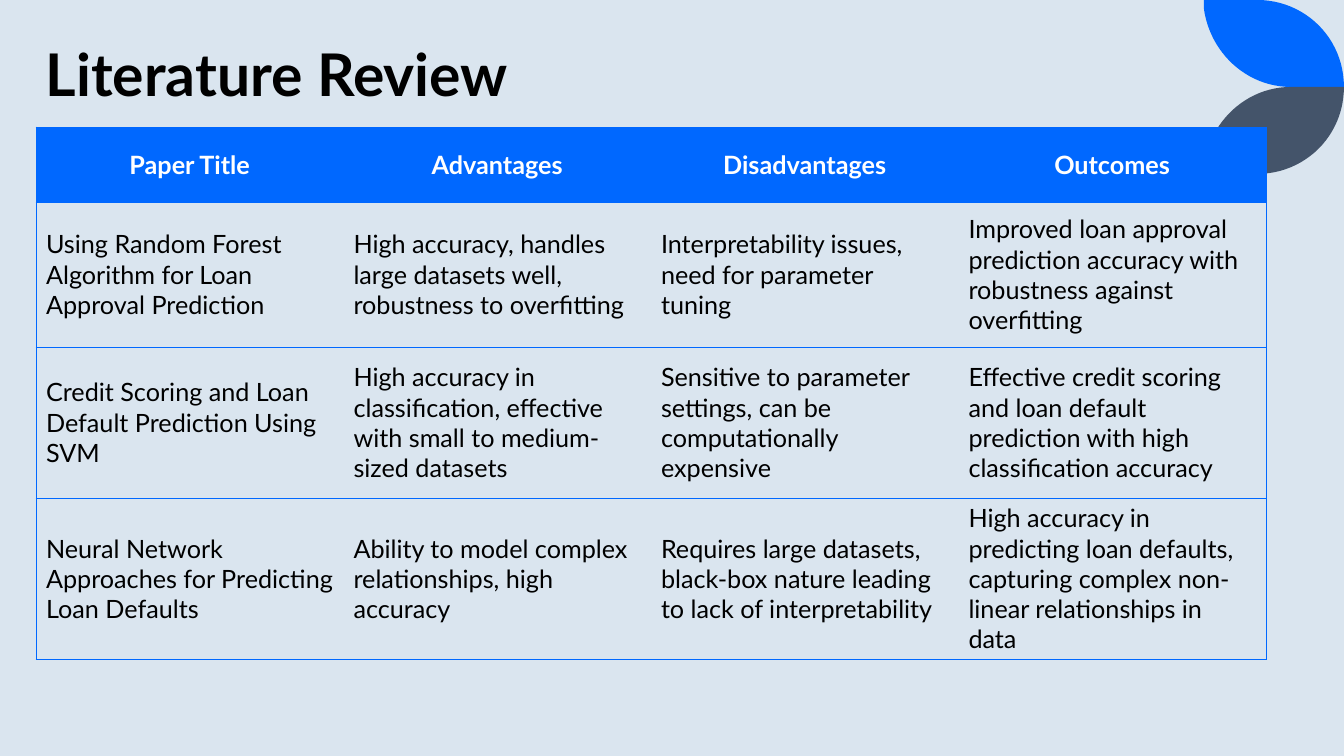
from lxml import etree
from pptx import Presentation
from pptx.dml.color import RGBColor
from pptx.enum.text import MSO_ANCHOR, PP_ALIGN
from pptx.oxml.ns import qn
from pptx.util import Pt

SCALE = 914400 / 100.8  # EMU per px
BLUE = RGBColor(0x00, 0x68, 0xFF)
SLATE = RGBColor(0x44, 0x54, 0x6A)
PALE = RGBColor(0xDA, 0xE5, 0xEF)
BLACK = RGBColor(0, 0, 0)
WHITE = RGBColor(0xFF, 0xFF, 0xFF)

CURVE_STEPS = 24
LEAF_HEIGHT = 87
ROW_HEIGHTS = [75, 145, 151, 161]
ROWS = [
    ["Paper Title", "Advantages", "Disadvantages", "Outcomes"],
    ["Using Random Forest Algorithm for Loan Approval Prediction",
     "High accuracy, handles large datasets well, robustness to overfitting",
     "Interpretability issues, need for parameter tuning",
     "Improved loan approval prediction accuracy with robustness against overfitting"],
    ["Credit Scoring and Loan Default Prediction Using SVM",
     "High accuracy in classification, effective with small to medium-sized datasets",
     "Sensitive to parameter settings, can be computationally expensive",
     "Effective credit scoring and loan default prediction with high classification accuracy"],
    ["Neural Network Approaches for Predicting Loan Defaults",
     "Ability to model complex relationships, high accuracy",
     "Requires large datasets, black-box nature leading to lack of interpretability",
     "High accuracy in predicting loan defaults, capturing complex non-linear relationships in data"],
]


def px(length):
    return round(length * SCALE)


def write_text(frame, text, size=18, color=BLACK, bold=False,
               align=PP_ALIGN.LEFT, spacing=1.0):
    frame.word_wrap = True
    paragraph = frame.paragraphs[0]
    paragraph.alignment = align
    paragraph.line_spacing = spacing
    run = paragraph.add_run()
    run.text = text
    run.font.name = "Lato"
    run.font.size = Pt(size)
    run.font.bold = bold
    run.font.color.rgb = color


presentation = Presentation()
presentation.slide_width = px(1344)
presentation.slide_height = px(756)
slide = presentation.slides.add_slide(presentation.slide_layouts[6])
slide.background.fill.solid()
slide.background.fill.fore_color.rgb = PALE

# Leaf outline: two Bezier arcs joined by straight edges
arcs = [
    [(1257, 0), (1305, 0), (1344, 38), (1344, 87)],
    [(1291, 87), (1246, 87), (1210, 52), (1204, 9)],
]
leaf = [(1204, 0)]
for arc in arcs:
    for step in range(CURVE_STEPS + 1):
        t = step / CURVE_STEPS
        weights = [(1 - t) ** 3, 3 * t * (1 - t) ** 2, 3 * t * t * (1 - t), t ** 3]
        leaf.append(tuple(sum(weight * point[axis] for weight, point in zip(weights, arc))
                          for axis in (0, 1)))

# The lower leaf mirrors the upper one
mirrored_leaf = [(x, 2 * LEAF_HEIGHT - y) for x, y in leaf]
for outline, color in [(leaf, BLUE), (mirrored_leaf, SLATE)]:
    points = [(px(x), px(y)) for x, y in outline]
    builder = slide.shapes.build_freeform(*points[0])
    builder.add_line_segments(points[1:], close=True)
    shape = builder.convert_to_shape()
    shape.shadow.inherit = False
    shape.fill.solid()
    shape.fill.fore_color.rgb = color
    shape.line.fill.background()

title = slide.shapes.add_textbox(px(36), px(-38), px(1068), px(151))
title.text_frame.vertical_anchor = MSO_ANCHOR.BOTTOM
write_text(title.text_frame, "Literature Review", size=42, bold=True, spacing=0.8)

table = slide.shapes.add_table(len(ROWS), len(ROWS[0]), px(36), px(127),
                               px(1230), px(sum(ROW_HEIGHTS))).table
table.horz_banding = False
for row_index, texts in enumerate(ROWS):
    is_header = row_index == 0
    table.rows[row_index].height = px(ROW_HEIGHTS[row_index])
    for column_index, text in enumerate(texts):
        cell = table.cell(row_index, column_index)
        cell.vertical_anchor = MSO_ANCHOR.MIDDLE
        write_text(cell.text_frame, text, bold=is_header,
                   color=WHITE if is_header else BLACK,
                   align=PP_ALIGN.CENTER if is_header else PP_ALIGN.LEFT)

        # Rules run between rows and around the table, not between columns
        borders = {"L": column_index == 0, "R": column_index == len(texts) - 1,
                   "T": True, "B": True}
        properties = cell._tc.get_or_add_tcPr()
        for side, visible in borders.items():
            line = etree.SubElement(properties, qn(f"a:ln{side}"), w=str(Pt(0.5)))
            if visible:
                fill = etree.SubElement(line, qn("a:solidFill"))
                etree.SubElement(fill, qn("a:srgbClr"), val=str(BLUE))
            else:
                etree.SubElement(line, qn("a:noFill"))

        if is_header:
            cell.fill.solid()
            cell.fill.fore_color.rgb = BLUE
        else:
            cell.fill.background()

presentation.save("out.pptx")
